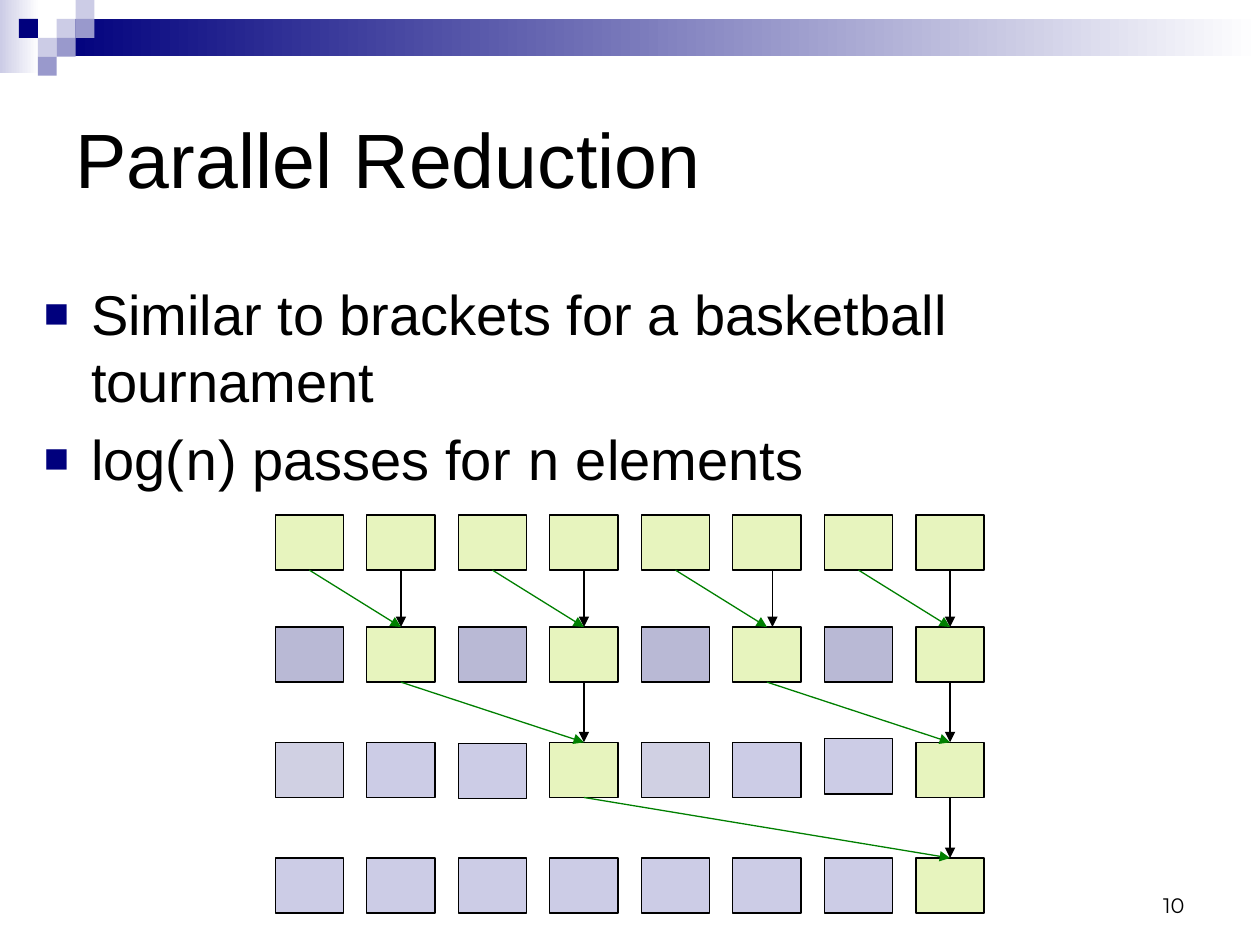
from lxml import etree
from pptx import Presentation
from pptx.dml.color import RGBColor
from pptx.enum.shapes import MSO_CONNECTOR as Connector, MSO_SHAPE as Shape
from pptx.enum.text import MSO_ANCHOR as Anchor, MSO_AUTO_SIZE as AutoSize, PP_ALIGN as Align
from pptx.oxml.ns import qn
from pptx.util import Pt

BLACK = RGBColor(0x00, 0x00, 0x00)
WHITE = RGBColor(0xFF, 0xFF, 0xFF)
NAVY = RGBColor(0x00, 0x00, 0x7D)
LAVENDER = RGBColor(0xCC, 0xCC, 0xE6)
PERIWINKLE = RGBColor(0x99, 0x99, 0xCC)
LIME = RGBColor(0xE7, 0xF4, 0xBE)
MAUVE = RGBColor(0xB9, 0xB9, 0xD5)
MIST = RGBColor(0xD0, 0xD0, 0xE3)
GREEN = RGBColor(0x00, 0x80, 0x00)

presentation = Presentation()
presentation.slide_width, presentation.slide_height = Pt(720), Pt(540)
slide = presentation.slides.add_slide(presentation.slide_layouts[5])


def add_rectangle(left, top, width, height, color=None):
    shape = slide.shapes.add_shape(Shape.RECTANGLE, Pt(left), Pt(top), Pt(width), Pt(height))
    shape.shadow.inherit = False
    shape.line.fill.background()
    if color is not None:
        shape.fill.solid()
        shape.fill.fore_color.rgb = color
    return shape


def add_run(paragraph, text, size, font="Arial"):
    run = paragraph.add_run()
    run.text = text
    run.font.size = Pt(size)
    run.font.name = font
    run.font.color.rgb = BLACK


# Header bands and mosaic
for left, top, width, height, start in [
    (0, 0, 22.4, 41.8, LAVENDER),
    (32.4, 10.8, 687.6, 21.4, NAVY),
]:
    band = add_rectangle(left, top, width, height)
    band.fill.gradient()
    band.fill.gradient_angle = 0
    for stop, color, position in zip(band.fill.gradient_stops, (start, WHITE), (0, 1)):
        stop.color.rgb = color
        stop.position = position

TILE = 10.8
for column, row, color in [
    (3, 1, LAVENDER), (4, 0, LAVENDER), (4, 1, PERIWINKLE), (2, 2, LAVENDER),
    (1, 1, NAVY), (3, 2, PERIWINKLE), (2, 3, PERIWINKLE),
]:
    add_rectangle(column * TILE, row * TILE, TILE, TILE, color)

# Title
title = slide.shapes.title
title.left, title.top, title.width, title.height = Pt(36), Pt(36), Pt(648), Pt(108)
title.text_frame.auto_size = AutoSize.NONE
title.text_frame.vertical_anchor = Anchor.MIDDLE
title_paragraph = title.text_frame.paragraphs[0]
title_paragraph.alignment = Align.LEFT
add_run(title_paragraph, "Parallel Reduction", 44)

# Bullets
bullets = [
    [("Similar to brackets for a basketball tournament", "Arial")],
    [("log(", "Arial"), ("n", "Courier New"), (") passes for ", "Arial"),
     ("n", "Courier New"), (" elements", "Arial")],
]
body = slide.shapes.add_textbox(Pt(18), Pt(156), Pt(690), Pt(96)).text_frame
body.word_wrap = True
for index, runs in enumerate(bullets):
    paragraph = body.add_paragraph() if index else body.paragraphs[0]
    paragraph.space_before = Pt(6.4)
    for text, font in runs:
        add_run(paragraph, text, 32, font)
    properties = paragraph._p.get_or_add_pPr()
    properties.set("marL", str(Pt(27)))
    properties.set("indent", str(-Pt(27)))
    bullet_color = etree.SubElement(properties, qn("a:buClr"))
    etree.SubElement(bullet_color, qn("a:srgbClr"), val=str(NAVY))
    etree.SubElement(properties, qn("a:buSzPct"), val="75000")
    etree.SubElement(properties, qn("a:buFont"), typeface="Arial")
    etree.SubElement(properties, qn("a:buChar"), char="■")

# Slide number
number = slide.shapes.add_textbox(Pt(516), Pt(492), Pt(168), Pt(36)).text_frame
number.word_wrap = True
number.vertical_anchor = Anchor.BOTTOM
number.paragraphs[0].alignment = Align.RIGHT
add_run(number.paragraphs[0], "10", 12, "Montserrat")

# Reduction grid: after each pass, half as many elements stay active
COLUMNS = 8
ROW_TOPS = [294.3, 358.3, 424.2, 490.3]
GRID_LEFT, PITCH, BOX_WIDTH, BOX_HEIGHT = 157.3, 52.3, 39, 31.5
NUDGES = {(2, 2): 0.7, (2, 6): -2}

boxes = []
for row, top in enumerate(ROW_TOPS):
    boxes.append([])
    for column in range(COLUMNS):
        if (column + 1) % 2 ** row == 0:
            color = LIME
        elif row == 1:
            color = MAUVE
        elif row == 2 and column % 4 == 0:
            color = MIST
        else:
            color = LAVENDER
        box = add_rectangle(GRID_LEFT + column * PITCH, top + NUDGES.get((row, column), 0),
                            BOX_WIDTH, BOX_HEIGHT, color)
        box.line.color.rgb = BLACK
        box.line.width = Pt(0.75)
        boxes[row].append(box)

# Each active element combines the one above it with its partner to the left
OFF_CENTER_X = 441.4  # the sixth column's first vertical arrow sits right of the middle
for row in range(1, len(ROW_TOPS)):
    stride = 2 ** row
    for column in range(stride - 1, COLUMNS, stride):
        for source, color in [(column, BLACK), (column - stride // 2, GREEN)]:
            upper, lower = boxes[row - 1][source], boxes[row][column]
            arrow = slide.shapes.add_connector(
                Connector.STRAIGHT, Pt(OFF_CENTER_X), upper.top + upper.height,
                Pt(OFF_CENTER_X), lower.top)
            if (row, source, column) != (1, 5, 5):
                arrow.begin_connect(upper, 2)
                arrow.end_connect(lower, 0)
            arrow.line.color.rgb = color
            arrow.line.width = Pt(0.75)
            etree.SubElement(arrow.line._get_or_add_ln(), qn("a:tailEnd"), type="triangle")
            etree.SubElement(arrow._element.spPr, qn("a:effectLst"))

presentation.save("out.pptx")
